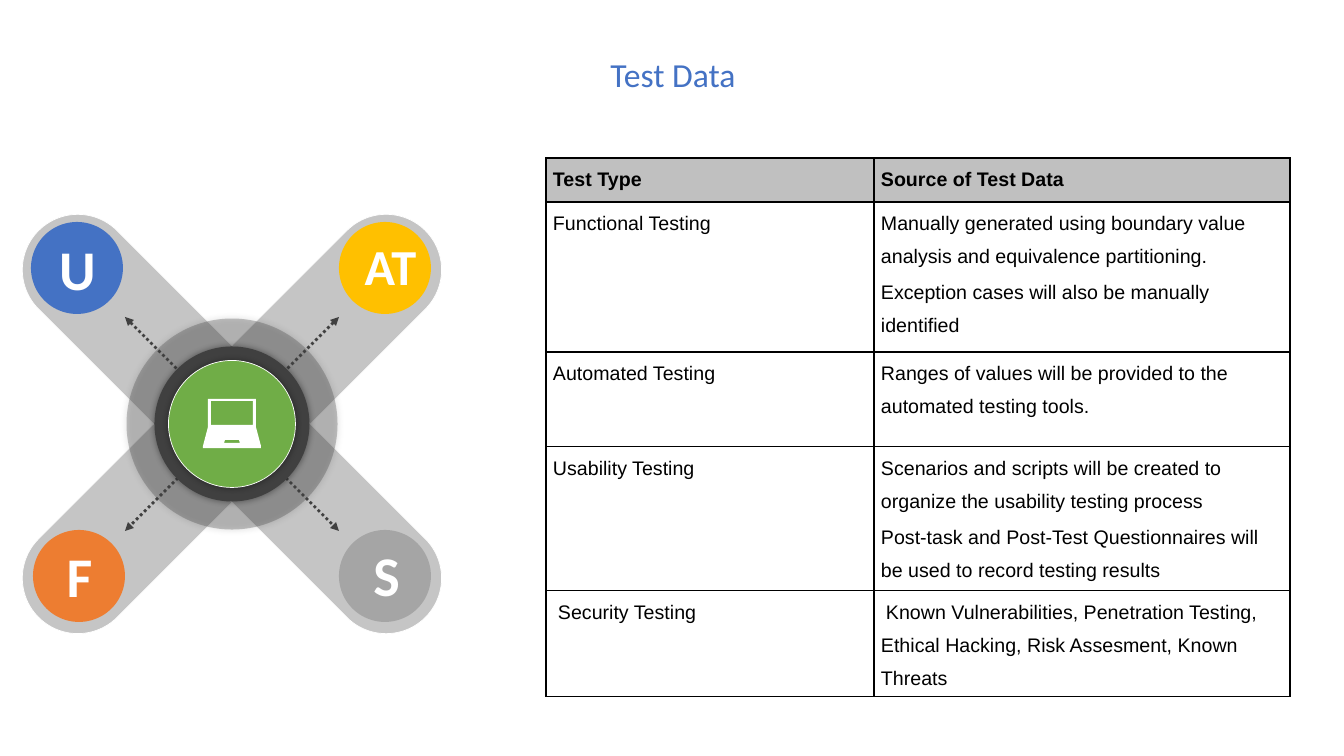
from lxml.etree import SubElement
from pptx import Presentation
from pptx.dml.color import RGBColor
from pptx.enum.dml import MSO_LINE
from pptx.enum.shapes import MSO_CONNECTOR, MSO_SHAPE
from pptx.enum.text import MSO_ANCHOR, PP_ALIGN
from pptx.oxml import parse_xml
from pptx.oxml.ns import nsdecls, qn
from pptx.util import Pt

# Content
TITLE = "Test Data"
HEADER = ("Test Type", "Source of Test Data")
TESTS = [
    ("Functional Testing", [
        "Manually generated using boundary value analysis and equivalence partitioning.",
        "Exception cases will also be manually identified"]),
    ("Automated Testing", [
        "Ranges of values will be provided to the automated testing tools."]),
    ("Usability Testing", [
        "Scenarios and scripts will be created to organize the usability testing process",
        "Post-task and Post-Test Questionnaires will be used to record testing results"]),
    ("Security Testing", [
        "Known Vulnerabilities, Penetration Testing, Ethical Hacking, "
        "Risk Assesment, Known Threats"]),
]
# Letter, size in points, colour, disc corner, label corner
BADGES = [
    ("U", 40, "blue", (31, 222), (32, 230)),
    ("AT", 36, "yellow", (339, 222), (345, 230)),
    ("F", 40, "orange", (33, 530), (34, 537)),
    ("S", 40, "gray", (339, 530), (341, 536)),
]
# Diameter, colour, opacity in percent, outlined
HUB_DISCS = [(211, "dark", 30, False), (155, "dark", 100, False), (127, "green", 100, True)]
LAPTOP = [
    [(208, 399), (256, 399), (256, 427), (261, 446), (261, 448), (203, 448), (203, 446), (208, 427)],
    [(211, 401), (211, 425), (253, 425), (253, 401)],
    [(225, 440), (224, 443), (240, 443), (239, 440)],
]
COLORS = {
    "blue": "4472C4", "yellow": "FFC000", "orange": "ED7D31", "gray": "A5A5A5",
    "green": "70AD47", "dark": "404040", "white": "FFFFFF", "black": "000000",
    "header": "C0C0C0",
}

# Layout in px
SCALE = 914400 / 100.8
HUB_X, HUB_Y = 232, 424
BAR_W, BAR_H = 111, 547
ARROW_REACH = 107
BADGE = 92
TABLE_X, TABLE_Y = 546, 158
COLUMN_WIDTHS = (328, 416)
ROW_HEIGHTS = (44, 150, 95, 144, 106)
CELL_MARGIN = 7
SECURITY_INDENT = 5


def px(value):
    return round(value * SCALE)


def color(name):
    return RGBColor.from_string(COLORS[name])


def add_run(paragraph, text, size, font, tint, bold=False):
    run = paragraph.add_run()
    run.text = text
    run.font.size, run.font.name, run.font.bold = Pt(size), font, bold
    run.font.color.rgb = color(tint)


def add_label(x, y, w, h, text, size, tint, bold=False):
    frame = slide.shapes.add_textbox(px(x), px(y), px(w), px(h)).text_frame
    frame.word_wrap = True
    frame.paragraphs[0].alignment = PP_ALIGN.CENTER
    add_run(frame.paragraphs[0], text, size, "Calibri", tint, bold)
    return frame


def paint(shape, fill, opacity=100, outlined=False):
    shape.shadow.inherit = False
    shape.fill.solid()
    shape.fill.fore_color.rgb = color(fill)
    if opacity < 100:
        tint = shape._element.spPr.find(qn("a:solidFill"))[0]
        SubElement(tint, qn("a:alpha"), val=str(opacity * 1000))
    if outlined:
        shape.line.color.rgb = color("white")
        shape.line.width = Pt(0.5)
    else:
        shape.line.fill.background()


def add_shape(kind, x, y, w, h, *style):
    shape = slide.shapes.add_shape(kind, px(x), px(y), px(w), px(h))
    paint(shape, *style)
    return shape


def add_glow(shape):
    effects = shape._element.spPr.find(qn("a:effectLst"))
    effects.append(parse_xml(
        f'<a:outerShdw {nsdecls("a")} blurRad="{Pt(5)}" dist="0" dir="0" rotWithShape="0">'
        f'<a:srgbClr val="{COLORS["black"]}"><a:alpha val="40000"/></a:srgbClr></a:outerShdw>'))


def add_hub_disc(diameter, *style):
    corner = HUB_X - diameter / 2, HUB_Y - diameter / 2
    add_glow(add_shape(MSO_SHAPE.OVAL, *corner, diameter, diameter, *style))


def add_double_arrow(x1, y1, x2, y2):
    arrow = slide.shapes.add_connector(MSO_CONNECTOR.STRAIGHT, px(x1), px(y1), px(x2), px(y2))
    arrow.line.color.rgb = color("dark")
    arrow.line.width = Pt(2)
    arrow.line.dash_style = MSO_LINE.ROUND_DOT
    outline = arrow.line._get_or_add_ln()
    for end in ("a:headEnd", "a:tailEnd"):
        SubElement(outline, qn(end), type="triangle")
    SubElement(arrow._element.spPr, qn("a:effectLst"))


def fill_cell(cell, lines, alignment, bold=False, indent=0):
    cell.margin_left = cell.margin_right = px(CELL_MARGIN)
    cell.margin_top = cell.margin_bottom = 0
    if bold:
        cell.fill.solid()
        cell.fill.fore_color.rgb = color("header")
    else:
        cell.fill.background()
    for i, side in enumerate("LRTB"):
        cell._tc.get_or_add_tcPr().insert(i, parse_xml(
            f'<a:ln{side} {nsdecls("a")} w="{Pt(1)}"><a:solidFill>'
            f'<a:srgbClr val="{COLORS["black"]}"/></a:solidFill></a:ln{side}>'))
    frame = cell.text_frame
    for i, line in enumerate(lines):
        paragraph = frame.add_paragraph() if i else frame.paragraphs[0]
        paragraph.alignment = alignment
        paragraph.line_spacing = 1.5
        paragraph.space_before = Pt(1 if i else 0)
        paragraph.space_after = Pt(1)
        if indent:
            properties = paragraph._p.get_or_add_pPr()
            properties.set("marL", "0")
            properties.set("indent", str(px(indent)))
        add_run(paragraph, line, 14, "Arial", "black", bold)


prs = Presentation()
prs.slide_width, prs.slide_height = px(1344), px(756)
slide = prs.slides.add_slide(prs.slide_layouts[6])

# Title
title = add_label(35, 37, 1276, 80, TITLE, 24, "blue")
title.vertical_anchor = MSO_ANCHOR.MIDDLE
title.paragraphs[0].line_spacing = 0.9

# Crossed bars
for angle in (45, 315):
    bar = add_shape(MSO_SHAPE.ROUNDED_RECTANGLE, HUB_X - BAR_W / 2, HUB_Y - BAR_H / 2,
                    BAR_W, BAR_H, "dark", 30, True)
    bar.adjustments[0] = 0.5
    bar.rotation = angle

# Hub with arrows running out from under its ring
halo, *inner_discs = HUB_DISCS
add_hub_disc(*halo)
for side in (-1, 1):
    reach = side * ARROW_REACH
    add_double_arrow(HUB_X + reach, HUB_Y - ARROW_REACH, HUB_X - reach, HUB_Y + ARROW_REACH)
for disc in inner_discs:
    add_hub_disc(*disc)

# Corner badges
for letter, size, tint, disc_corner, label_corner in BADGES:
    add_shape(MSO_SHAPE.OVAL, *disc_corner, BADGE, BADGE, tint)
    add_label(*label_corner, 91, 78, letter, size, "white", True)

# Laptop icon
laptop = slide.shapes.build_freeform(*LAPTOP[0][0], scale=SCALE)
for i, (start, *corners) in enumerate(LAPTOP):
    if i:
        laptop.move_to(*start)
    laptop.add_line_segments(corners, close=True)
paint(laptop.convert_to_shape(), "white")

# Table
table = slide.shapes.add_table(
    len(ROW_HEIGHTS), len(COLUMN_WIDTHS), px(TABLE_X), px(TABLE_Y),
    px(sum(COLUMN_WIDTHS)), px(sum(ROW_HEIGHTS))).table
for column, width in zip(table.columns, COLUMN_WIDTHS):
    column.width = px(width)
for row, height in zip(table.rows, ROW_HEIGHTS):
    row.height = px(height)
for c, heading in enumerate(HEADER):
    fill_cell(table.cell(0, c), [heading], PP_ALIGN.JUSTIFY, bold=True)
for r, (test_type, sources) in enumerate(TESTS, 1):
    indent = SECURITY_INDENT if r == len(TESTS) else 0
    fill_cell(table.cell(r, 0), [test_type], PP_ALIGN.JUSTIFY, indent=indent)
    fill_cell(table.cell(r, 1), sources, PP_ALIGN.LEFT, indent=indent)

prs.save("out.pptx")
